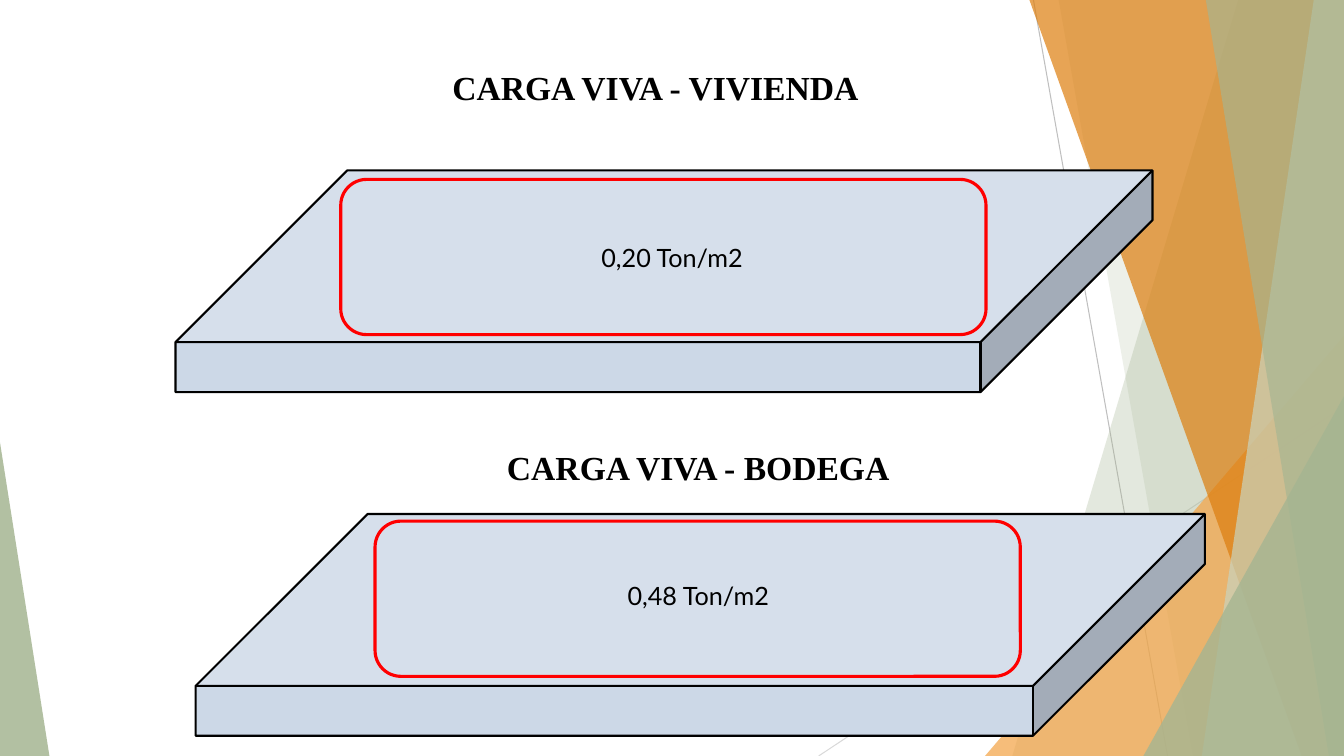
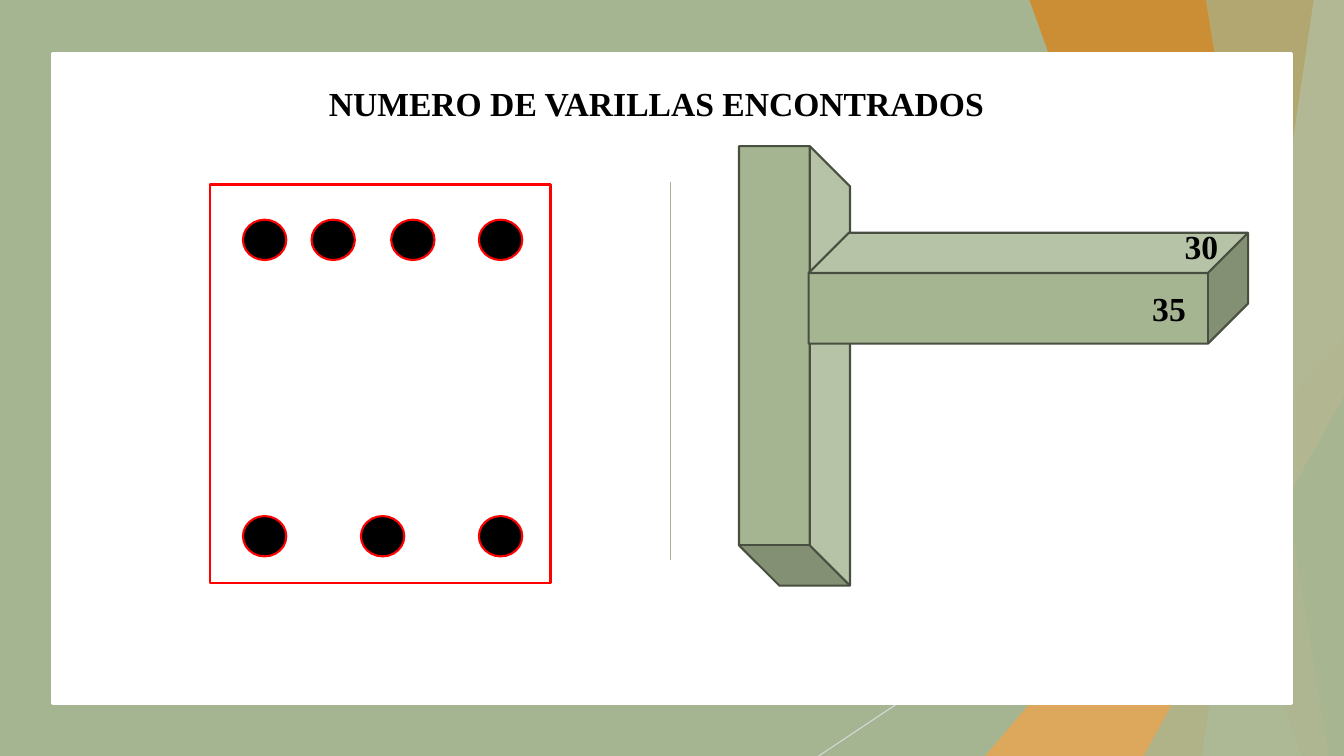
from dataclasses import dataclass

from lxml import etree
from pptx import Presentation
from pptx.dml.color import RGBColor
from pptx.enum.shapes import MSO_CONNECTOR, MSO_SHAPE
from pptx.enum.text import MSO_ANCHOR, MSO_AUTO_SIZE, PP_ALIGN
from pptx.oxml.ns import qn
from pptx.shapes.autoshape import Shape
from pptx.shapes.shapetree import GroupShapes
from pptx.slide import Slide
from pptx.util import Inches, Pt

RECTANGLE = MSO_SHAPE.RECTANGLE
ROUNDED = MSO_SHAPE.ROUNDED_RECTANGLE
TRIANGLE = MSO_SHAPE.ISOSCELES_TRIANGLE
CUBE = MSO_SHAPE.CUBE
OVAL = MSO_SHAPE.OVAL
STRAIGHT = MSO_CONNECTOR.STRAIGHT
CENTER = PP_ALIGN.CENTER
TOP = MSO_ANCHOR.TOP
FIT_TEXT = MSO_AUTO_SIZE.SHAPE_TO_FIT_TEXT

WIDTH, HEIGHT = 13.33, 7.5
SAGE, PALE_SAGE, DARK_SAGE = "A5B592", "C9D3BE", "484F40"
ORANGE, LIGHT_ORANGE = "DD7E0E", "F3A447"
GREY, LIGHT_GREY = "BFBFBF", "D9D9D9"
BLACK, WHITE, RED, SLAB_BLUE = "000000", "FFFFFF", "FF0000", "CCD8E7"
HEADING_FONT, BODY_FONT = "Times New Roman", "Lato"
HEADING_HEIGHT = 0.5


@dataclass(frozen=True)
class Box:
    left: float
    top: float
    width: float
    height: float

    def lengths(self) -> tuple[int, int, int, int]:
        return (Inches(self.left), Inches(self.top),
                Inches(self.width), Inches(self.height))


@dataclass(frozen=True)
class Band:
    top_x: float
    bottom_x: float
    color: str
    opacity: int

    def draw(self, shapes: GroupShapes) -> None:
        builder = shapes.build_freeform(Inches(self.top_x), 0)
        corners = ((WIDTH, 0), (WIDTH, HEIGHT), (self.bottom_x, HEIGHT))
        builder.add_line_segments([(Inches(x), Inches(y)) for x, y in corners])
        paint(builder.convert_to_shape(), self.color, opacity=self.opacity)


@dataclass(frozen=True)
class Wedge:
    box: Box
    apex: float
    color: str
    opacity: int

    def draw(self, shapes: GroupShapes) -> None:
        wedge = shapes.add_shape(TRIANGLE, *self.box.lengths())
        wedge.adjustments[0] = self.apex
        paint(wedge, self.color, opacity=self.opacity)


@dataclass(frozen=True)
class Ray:
    start: tuple[float, float]
    end: tuple[float, float]
    color: str
    weight: float = 0.75

    def draw(self, shapes: GroupShapes) -> None:
        ray = shapes.add_connector(STRAIGHT, *map(Inches, self.start + self.end))
        ray.line.color.rgb = rgb(self.color)
        ray.line.width = Pt(self.weight)
        etree.SubElement(ray._element.spPr, qn("a:effectLst"))


@dataclass(frozen=True)
class Slab:
    cube: Box
    load_area: Box
    load_label: Box
    load: str


FACETS = (
    Band(12.28, 10.04, SAGE, 30),
    Band(10.5, 11.83, SAGE, 20),
    Wedge(Box(9.77, 3.33, 3.56, 4.17), 1, LIGHT_ORANGE, 72),
    Band(10.21, 12.91, ORANGE, 70),
    Band(13.03, 11.92, PALE_SAGE, 70),
    Band(11.96, 13.18, SAGE, 65),
    Wedge(Box(11.34, 3.93, 1.99, 3.57), 1, SAGE, 80),
    Wedge(Box(0, 4.39, 0.49, 3.11), 0, SAGE, 85),
)
STEEP_RAY = Ray((10.25, 0), (11.58, HEIGHT), GREY)
LOW_RAY = Ray((WIDTH, 4.03), (8.12, HEIGHT), LIGHT_GREY)

SLABS = (
    Slab(Box(1.74, 1.69, 9.69, 2.2), Box(3.38, 1.78, 6.4, 1.54),
         Box(5.39, 2.35, 2.55, 0.4), "0,20 Ton/m2"),
    Slab(Box(1.94, 5.1, 10.01, 2.2), Box(3.72, 5.17, 6.4, 1.54),
         Box(5.65, 5.71, 2.55, 0.4), "0,48 Ton/m2"),
)

BAR_WIDTH, BAR_HEIGHT = 0.43, 0.4
FIRST_BAR_X, BOTTOM_BAR_STEP = 2.41, 1.17
BAR_ROWS = (
    (2.18, (FIRST_BAR_X, 3.09, 3.88, 4.75)),
    (5.12, tuple(FIRST_BAR_X + i * BOTTOM_BAR_STEP for i in range(3))),
)


def rgb(color: str) -> RGBColor:
    return RGBColor.from_string(color)


def paint(shape: Shape, fill: str | None = None, line: str | None = None,
          weight: float = 1.5, opacity: int = 100) -> None:
    shape.shadow.inherit = False
    if fill:
        shape.fill.solid()
        shape.fill.fore_color.rgb = rgb(fill)
        if opacity < 100:
            color = shape._element.spPr.find(f".//{qn('a:srgbClr')}")
            etree.SubElement(color, qn("a:alpha"), val=str(opacity * 1000))
    else:
        shape.fill.background()
    if line:
        shape.line.color.rgb = rgb(line)
        shape.line.width = Pt(weight)
    else:
        shape.line.fill.background()


def add_figure(slide: Slide, kind: MSO_SHAPE, box: Box, fill: str | None = None,
               line: str | None = None, weight: float = 1.5) -> Shape:
    figure = slide.shapes.add_shape(kind, *box.lengths())
    paint(figure, fill, line, weight)
    return figure


def add_cube(slide: Slide, box: Box, depth: float, fill: str, line: str) -> Shape:
    cube = add_figure(slide, CUBE, box, fill, line)
    cube.adjustments[0] = depth
    return cube


def write(shape: Shape, text: str, size: float, font: str, bold: bool) -> None:
    frame = shape.text_frame
    frame.text = text
    frame.word_wrap = True
    frame.auto_size = FIT_TEXT
    frame.vertical_anchor = TOP
    paragraph = frame.paragraphs[0]
    paragraph.alignment = CENTER
    for run in paragraph.runs:
        run.font.name = font
        run.font.size = Pt(size)
        run.font.bold = bold
        run.font.color.rgb = rgb(BLACK)


def add_heading(slide: Slide, text: str, left: float, top: float, width: float) -> None:
    heading = slide.shapes.add_textbox(*Box(left, top, width, HEADING_HEIGHT).lengths())
    write(heading, text, 24, HEADING_FONT, True)


def set_title(slide: Slide, text: str, left: float, top: float, width: float) -> None:
    title = slide.shapes.title
    box = Box(left, top, width, HEADING_HEIGHT)
    title.left, title.top, title.width, title.height = box.lengths()
    write(title, text, 24, HEADING_FONT, True)
    slide.shapes._spTree.append(title._element)


def add_backdrop(slide: Slide, rays: tuple[Ray, ...]) -> None:
    backdrop = slide.shapes.add_group_shape()
    for part in rays + FACETS:
        part.draw(backdrop.shapes)


def add_slab(slide: Slide, slab: Slab) -> None:
    add_cube(slide, slab.cube, 0.775, SLAB_BLUE, BLACK)
    add_figure(slide, ROUNDED, slab.load_area, line=RED, weight=2.25)
    load = slide.shapes.add_textbox(*slab.load_label.lengths())
    write(load, slab.load, 18, BODY_FONT, False)


def build_live_loads(slide: Slide) -> None:
    add_backdrop(slide, (STEEP_RAY, LOW_RAY))
    for slab in SLABS:
        add_slab(slide, slab)
    set_title(slide, "CARGA VIVA - VIVIENDA", 3.49, 0.61, 6.02)
    add_heading(slide, "CARGA VIVA - BODEGA", 3.83, 4.38, 6.19)


def build_rebar_count(slide: Slide) -> None:
    add_figure(slide, RECTANGLE, Box(0, 0, WIDTH, HEIGHT), SAGE)
    add_backdrop(slide, (LOW_RAY,))
    add_figure(slide, RECTANGLE, Box(0.52, 0.53, 12.29, 6.45), WHITE, WHITE, 1.75)
    Ray((6.65, 1.81), (6.65, 5.56), SAGE, 1).draw(slide.shapes)

    column = add_cube(slide, Box(5.7, 3.08, 4.36, 1.1), 0.363, SAGE, DARK_SAGE)
    column.rotation = 90
    add_cube(slide, Box(8.02, 2.31, 4.36, 1.1), 0.363, SAGE, DARK_SAGE)
    set_title(slide, "NUMERO DE VARILLAS ENCONTRADOS", 2.3, 0.77, 8.42)
    add_heading(slide, "30", 11.53, 2.19, 0.77)
    add_heading(slide, "35", 11.21, 2.81, 0.77)

    add_figure(slide, RECTANGLE, Box(2.08, 1.83, 3.38, 3.95), line=RED)
    for top, lefts in BAR_ROWS:
        for left in lefts:
            add_figure(slide, OVAL, Box(left, top, BAR_WIDTH, BAR_HEIGHT), BLACK, RED)


def main() -> None:
    deck = Presentation()
    deck.slide_width = Inches(WIDTH)
    deck.slide_height = Inches(HEIGHT)
    title_only = deck.slide_layouts[5]
    for build in (build_live_loads, build_rebar_count):
        build(deck.slides.add_slide(title_only))
    deck.save("out.pptx")


if __name__ == "__main__":
    main()
